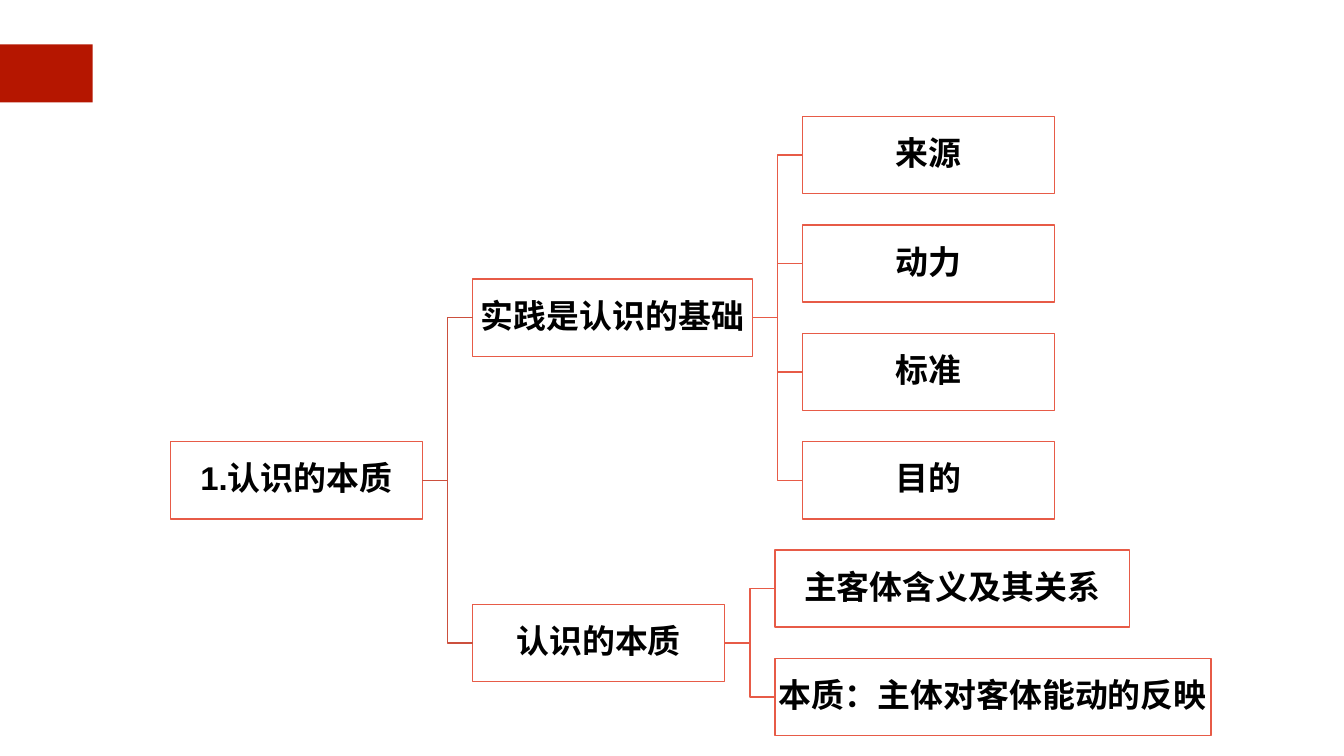
"""Build a slide with a left-to-right tree about the nature of knowledge."""
from dataclasses import dataclass

from lxml.etree import SubElement
from pptx import Presentation
from pptx.dml.color import RGBColor
from pptx.enum.shapes import MSO_CONNECTOR, MSO_SHAPE
from pptx.enum.text import MSO_ANCHOR, PP_ALIGN
from pptx.oxml.ns import qn
from pptx.shapes.autoshape import Shape
from pptx.slide import Slide
from pptx.util import Inches, Pt

COLORS = {"banner": "B51600", "box": "E75B47", "trunk": "CC503E", "text": "000000"}
FIRST_CENTER, ROW_PITCH = 3.08, 2.15
ROOT_LEFT, LEVEL_GAP = 3.38, 1.0
BOX_HEIGHT, LINE_WIDTH, INSET = 1.53, Pt(2), Inches(0.03)


@dataclass(frozen=True)
class Node:
    """A box of the tree; row counts leaf rows from the top."""

    text: str
    row: float
    width: float = 5.0
    children: tuple["Node", ...] = ()


LEAVES = tuple(Node(text, row) for row, text in enumerate(("来源", "动力", "标准", "目的")))
TREE = Node("1.认识的本质", 3, children=(
    Node("实践是认识的基础", 1.5, 5.55, LEAVES),
    Node("认识的本质", 4.5, children=(
        Node("主客体含义及其关系", 4, 7.03),
        Node("本质：主体对客体能动的反映", 5, 8.65),
    )),
))


def rgb(name: str) -> RGBColor:
    """Look up a colour by name."""
    return RGBColor.from_string(COLORS[name])


def add_banner(s: Slide) -> None:
    """Draw the red block at the left edge."""
    banner = s.shapes.add_shape(
        MSO_SHAPE.RECTANGLE, Inches(-0.03), Inches(0.88), Inches(1.87), Inches(1.15))
    banner.shadow.inherit = False
    banner.fill.solid()
    banner.fill.fore_color.rgb = rgb("banner")
    banner.line.fill.background()


def add_box(s: Slide, node: Node, left: float) -> Shape:
    """Draw one outlined box with its label."""
    top = FIRST_CENTER + node.row * ROW_PITCH - BOX_HEIGHT / 2
    box = s.shapes.add_shape(
        MSO_SHAPE.RECTANGLE, Inches(left), Inches(top), Inches(node.width), Inches(BOX_HEIGHT))
    box.shadow.inherit = False
    box.fill.background()
    box.line.color.rgb = rgb("box")
    box.line.width = LINE_WIDTH
    tf = box.text_frame
    tf.text = node.text
    tf.word_wrap = True
    tf.vertical_anchor = MSO_ANCHOR.MIDDLE
    tf.margin_left = tf.margin_right = tf.margin_top = tf.margin_bottom = INSET
    p = tf.paragraphs[0]
    p.alignment = PP_ALIGN.CENTER
    p.line_spacing = 0.9
    font = p.runs[0].font
    font.name, font.size, font.bold = "Arial", Pt(47), True
    font.color.rgb = rgb("text")
    return box


def add_link(s: Slide, parent: Shape, child: Shape, color: str) -> None:
    """Join a parent's right side to a child's left side."""
    link = s.shapes.add_connector(MSO_CONNECTOR.ELBOW, 0, 0, 0, 0)
    link.begin_connect(parent, 3)
    link.end_connect(child, 1)
    link.line.color.rgb = rgb(color)
    link.line.width = LINE_WIDTH
    SubElement(link._element.spPr, qn("a:effectLst"))


def add_tree(s: Slide, node: Node, left: float, color: str = "trunk") -> Shape:
    """Draw a node, its descendants and the links between them."""
    box = add_box(s, node, left)
    for child in node.children:
        child_box = add_tree(s, child, left + node.width + LEVEL_GAP, "box")
        add_link(s, box, child_box, color)
    return box


def main() -> None:
    """Create and save the presentation."""
    prs = Presentation()
    prs.slide_width, prs.slide_height = Inches(26.67), Inches(15)
    s = prs.slides.add_slide(prs.slide_layouts[6])
    add_banner(s)
    add_tree(s, TREE, ROOT_LEFT)
    prs.save("out.pptx")


if __name__ == "__main__":
    main()
